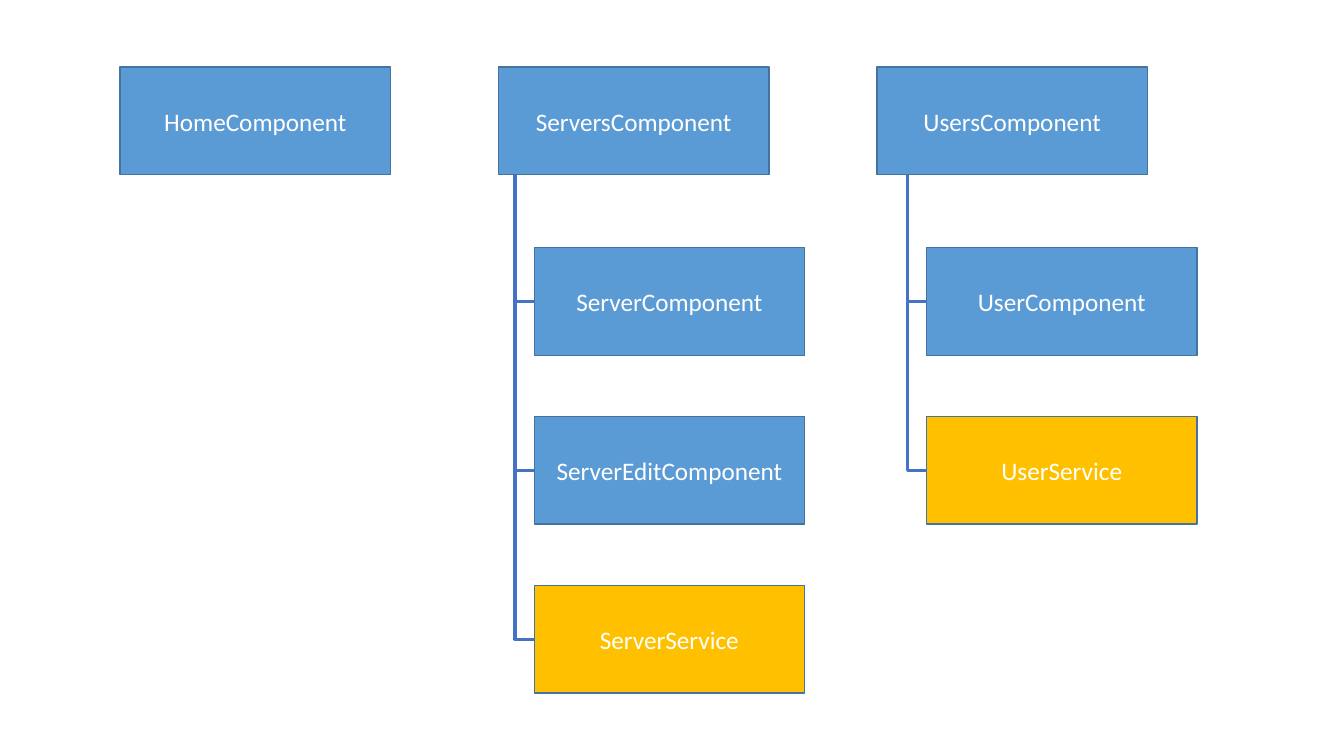
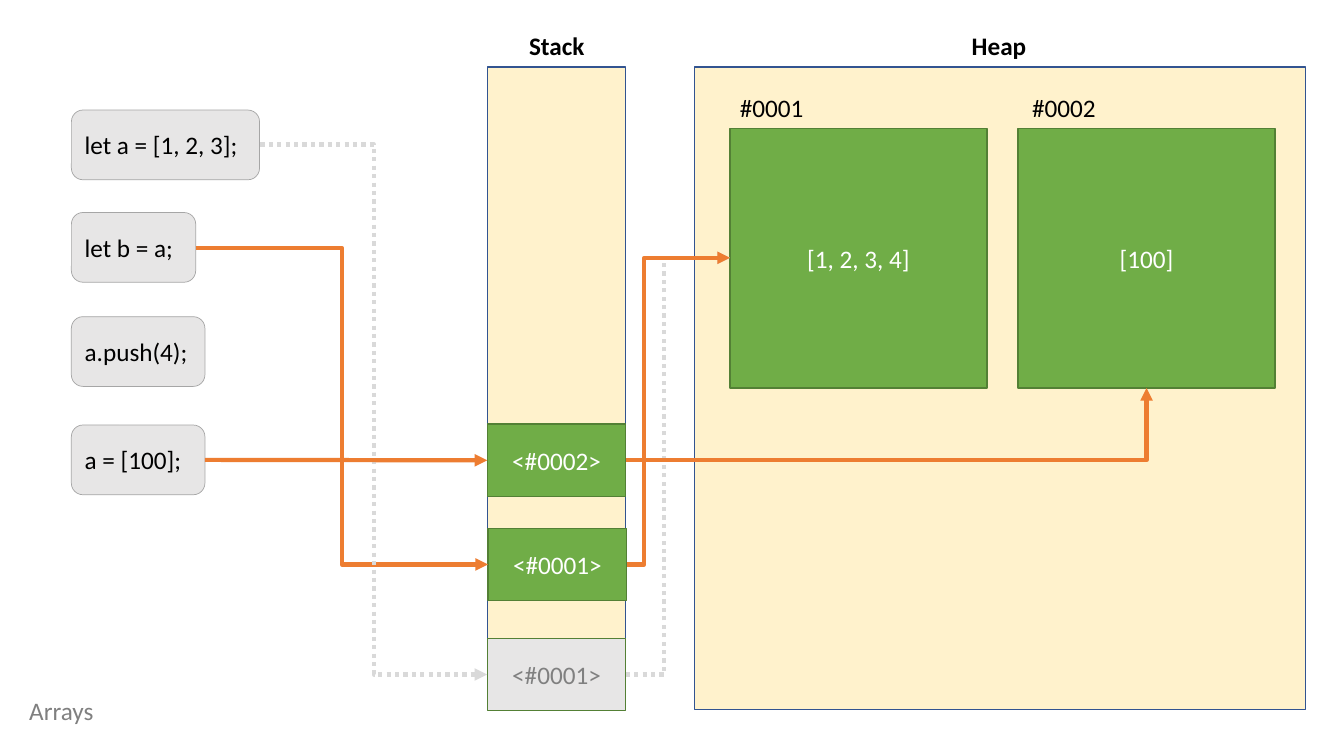
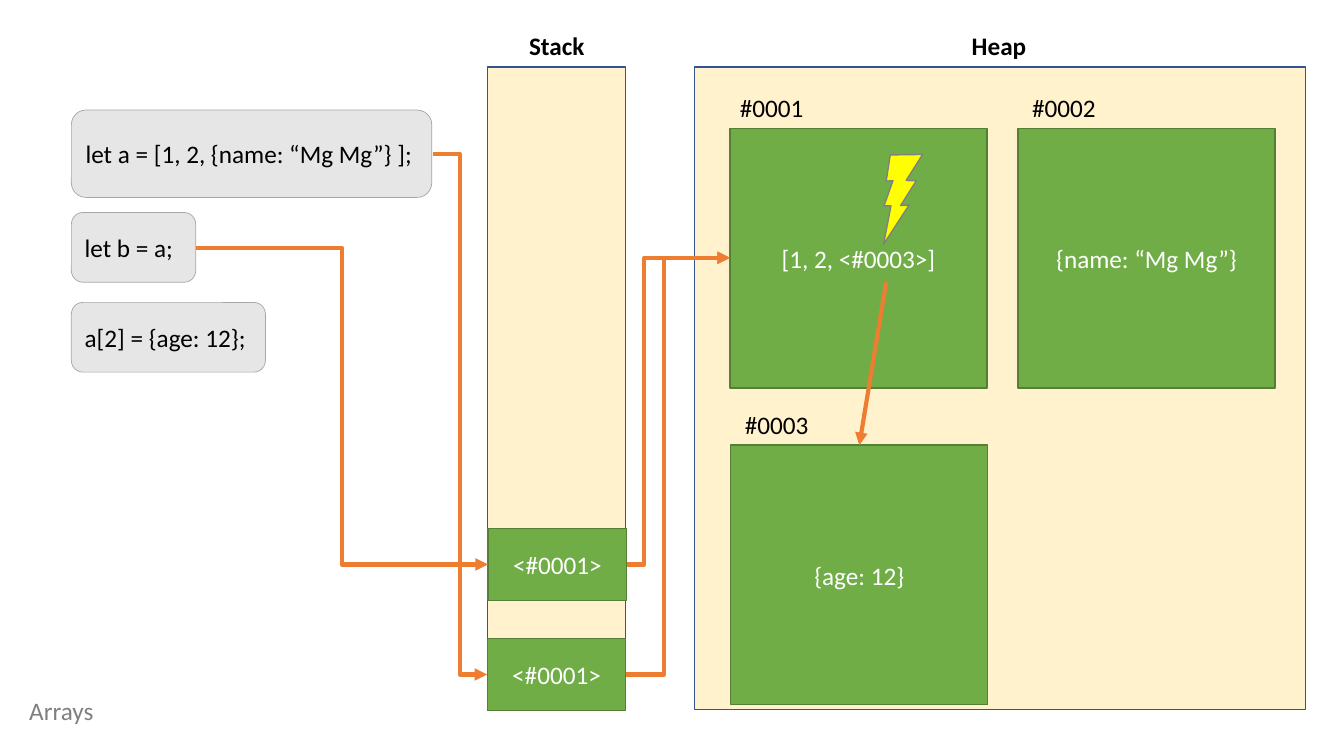
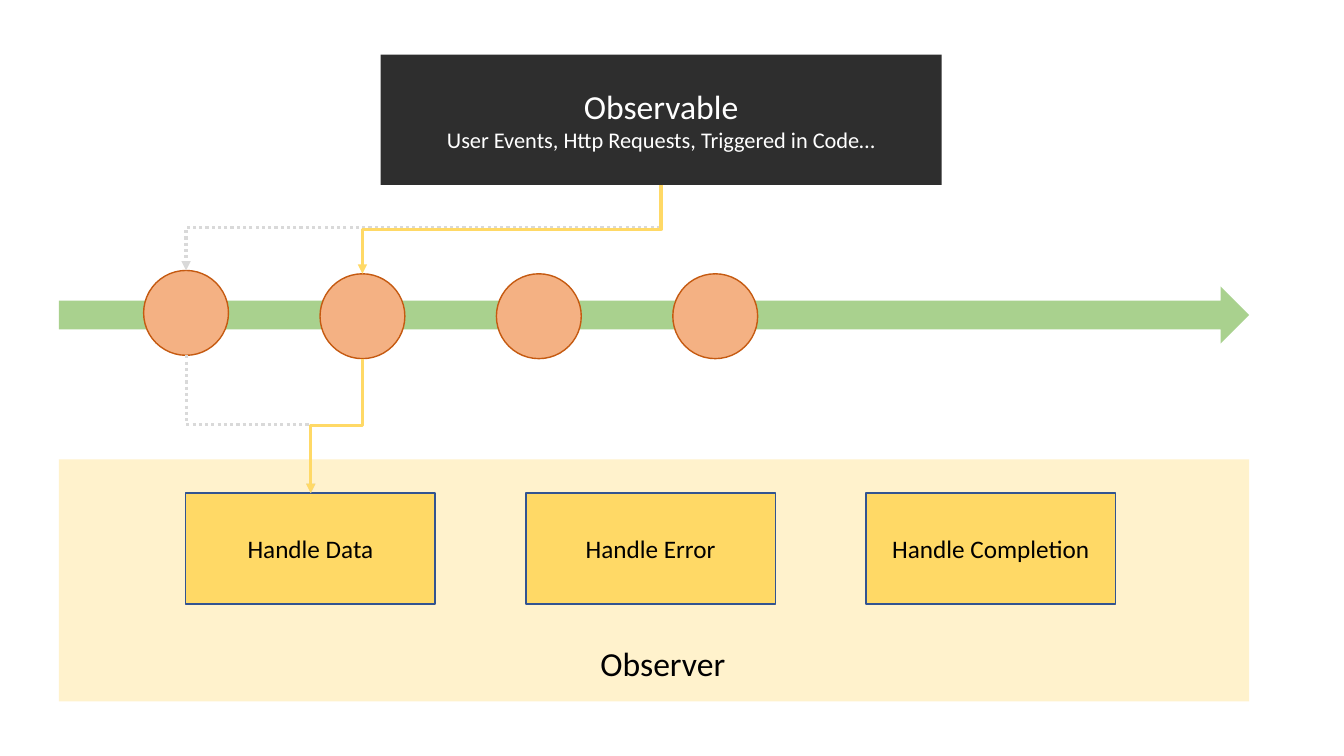
from lxml import etree
from pptx import Presentation
from pptx import util as u
from pptx.dml.color import RGBColor
from pptx.enum import dml, shapes, text
from pptx.oxml import ns


class Theme:
    font = "Calibri"
    body, note, head = 18, 16, 24
    hair, thin, mid, bold = 0.5, 1, 2.25, 3
    white, black, grey = "FFFFFF", "000000", "808080"
    blue, navy, trunk, steel = "5B9BD5", "325491", "4472C4", "43739E"
    gold, sun, cream, bolt = "FFC000", "FFD966", "FFF2CC", "FFFF00"
    green, moss, leaf = "70AD47", "538035", "A9D18E"
    orange, peach, rust = "ED7D31", "F4B183", "C55A11"
    pale, ash, mist, coal = "E7E6E6", "A6A6A6", "D9D9D9", "2E2E2E"


# Grid: 160 columns by 90 rows of square cells
CELL = u.Inches(1) // 12
COLS, ROWS = 160, 90
KIND = shapes.MSO_SHAPE
LEFT, MID = text.PP_ALIGN.LEFT, text.PP_ALIGN.CENTER

deck = Presentation()
deck.slide_width, deck.slide_height = COLS * CELL, ROWS * CELL
blank = deck.slide_layouts[6]


def box(slide, at, words="", fill=None, edge=None, kind=KIND.RECTANGLE, width=Theme.thin,
        color=Theme.white, sizes=(Theme.body,), align=MID, strong=False):
    """Add a shape, or a text label when kind is None; each line of words is a paragraph."""
    place = [int(v * CELL) for v in at]
    if kind is None:
        item = slide.shapes.add_textbox(*place)
        item.text_frame.word_wrap = False
        item.text_frame.auto_size = text.MSO_AUTO_SIZE.SHAPE_TO_FIT_TEXT
    else:
        item = slide.shapes.add_shape(kind, *place)
        item.shadow.inherit = False
        item.text_frame.vertical_anchor = text.MSO_ANCHOR.MIDDLE
        item.fill.solid()
        item.fill.fore_color.rgb = RGBColor.from_string(fill)
        if edge:
            item.line.color.rgb = RGBColor.from_string(edge)
            item.line.width = u.Pt(width)
        else:
            item.line.fill.background()
    if words:
        item.text_frame.text = words
        for para, size in zip(item.text_frame.paragraphs, sizes):
            para.alignment = align
            para.font.name, para.font.size, para.font.bold = Theme.font, u.Pt(size), strong
            para.font.color.rgb = RGBColor.from_string(color)
    return item


def wire(slide, start, end, color, width, bends=0, share=0.5, down=False, arrow=True):
    """Join two points with 0, 1 or 2 bends; down makes the first leg vertical."""
    (x1, y1), (x2, y2) = start, end
    turn = 0
    if down:  # lay the path on its side, then turn it about its centre
        side = 1 if x2 < x1 else -1
        turn = 90 * side % 360
        cx, cy, dx, dy = (x1 + x2) / 2, (y1 + y2) / 2, abs(x2 - x1) / 2, side * (y2 - y1) / 2
        x1, y1, x2, y2 = cx - dy, cy - dx, cx + dy, cy + dx
    kind = shapes.MSO_CONNECTOR.ELBOW if bends else shapes.MSO_CONNECTOR.STRAIGHT
    line = slide.shapes.add_connector(kind, *[int(v * CELL) for v in (x1, y1, x2, y2)])
    line.line.color.rgb = RGBColor.from_string(color)
    line.line.width = u.Pt(width)
    if color == Theme.mist:
        line.line.dash_style = dml.MSO_LINE.ROUND_DOT
    props = line.element.spPr
    if turn:
        props.find(ns.qn("a:xfrm")).set("rot", str(turn * 60000))
    shape = props.find(ns.qn("a:prstGeom"))
    if bends == 1:
        shape.set("prst", "bentConnector2")
    elif bends == 2:
        etree.SubElement(shape.find(ns.qn("a:avLst")), ns.qn("a:gd"),
                         name="adj1", fmla=f"val {round(share * 100000)}")
    if arrow:
        etree.SubElement(props.find(ns.qn("a:ln")), ns.qn("a:tailEnd"), type="triangle")
    etree.SubElement(props, ns.qn("a:effectLst"))
    return line


# Slide 1: component trees
slide = deck.slides.add_slide(blank)
wide, high, top = 32.2, 12.8, 8
trees = [
    ("HomeComponent", 0, []),
    ("ServersComponent", 63.6, ["ServerComponent", "ServerEditComponent", "ServerService"]),
    ("UsersComponent", 110.3, ["UserComponent", "UserService"]),
]
for col, (root, left, kids) in enumerate(trees):
    box(slide, (14.3 + 45.05 * col, top, wide, high), root, Theme.blue, Theme.steel)
    last = top + high
    for row, kid in enumerate(kids):
        y = 29.5 + 20.1 * row
        fill = Theme.gold if kid.endswith("Service") else Theme.blue
        box(slide, (left, y, wide, high), kid, fill, Theme.steel)
        wire(slide, (left - 2.3, last), (left, y + high / 2), Theme.trunk, Theme.mid,
             bends=1, down=True, arrow=False)
        last = y + high / 2

# Slides 2 and 3: stack and heap
low, near, far = 80.3, 67.2, 30.7  # rows where the pointers run
plans = [
    dict(code=[("let a = [1, 2, 3];", 13.1, 22.4, 8.3), ("let b = a;", 25.3, 14.8, 8.3),
               ("a.push(4);", 37.7, 15.9, 8.3), ("a = [100];", 50.6, 15.9, 8.3)],
         slots=[("<#0001>", 58, 76), ("<#0001>", 58.1, 62.9), ("<#0002>", 58, 50.5)],
         cells=[("[1, 2, 3, 4]", 86.9, 15.3, 0), ("[100]", 121.2, 15.3, 0.5)],
         tone=Theme.mist, first=((31, 17.2), (58, low))),
    dict(code=[("let a = [1, 2, {name: “Mg Mg”} ];", 13.1, 42.9, 10.4),
               ("let b = a;", 25.3, 14.8, 8.3), ("a[2] = {age: 12};", 36, 23.1, 8.3)],
         slots=[("<#0001>", 58, 76), ("<#0001>", 58.1, 62.9)],
         cells=[("[1, 2, <#0003>]", 86.9, 15.3, 0), ("{name: “Mg Mg”}", 121.2, 15.3, 0.5),
                ("{age: 12}", 87, 53, 0.5)],
         tone=Theme.orange, first=((51.5, 18.3), (58, low))),
]
drawn = []
for plan in plans:
    slide = deck.slides.add_slide(blank)
    for name, x, w, mark in (("Stack", 58, 16.5, 61.8), ("Heap", 82.7, 72.7, 114.5)):
        box(slide, (x, 8, w, 76.5), "", Theme.cream, Theme.navy)
        box(slide, (mark, 3, 9, 4.8), name, kind=None, color=Theme.black, align=LEFT, strong=True)

    code = [box(slide, (8.5, y, w, h), words, Theme.pale, Theme.ash, KIND.ROUNDED_RECTANGLE,
                Theme.hair, Theme.black, align=LEFT) for words, y, w, h in plan["code"]]
    slots = []
    for i, (words, x, y) in enumerate(plan["slots"]):
        stale = i == 0 and plan["tone"] == Theme.mist
        slots.append(box(slide, (x, y, 16.5, 8.6), words, Theme.pale if stale else Theme.green,
                         Theme.moss, color=Theme.grey if stale else Theme.white))
    cells = []
    for i, (words, x, y, shift) in enumerate(plan["cells"], 1):
        cells.append(box(slide, (x, y, 30.6, 30.9), words, Theme.green, Theme.moss))
        box(slide, (x + shift, y - 4.9, 10.1, 4.8), f"#000{i}", kind=None,
            color=Theme.black, align=LEFT)

    for start, end, tone, share in (
            ((74.5, low), (86.9, far), plan["tone"], 0.37),
            ((23.3, 29.5), (58.1, near), Theme.orange, 0.5),
            ((74.6, near), (86.9, far), Theme.orange, 0.17),
            (*plan["first"], plan["tone"], 0.5)):
        wire(slide, start, end, tone, Theme.bold, bends=2, share=share)
    box(slide, (2.3, 82.2, 21.5, 4.8), "Arrays", Theme.white, color=Theme.grey, align=LEFT)
    drawn.append((slide, code, slots, cells))

# Slide 2: the new array
slide, code, slots, cells = drawn[0]
line = wire(slide, (24.4, 54.8), (58, 54.8), Theme.orange, Theme.bold)
line.begin_connect(code[3], 3)
line.end_connect(slots[2], 1)
wire(slide, (74.5, 54.8), (136.5, 46.2), Theme.orange, Theme.bold, bends=1)

# Slide 3: the changed item
slide, code, slots, cells = drawn[1]
line = wire(slide, (105.5, 33.6), (102.3, 53), Theme.orange, Theme.bold)
line.end_connect(cells[2], 0)
flash = box(slide, (102.7, 18.4, 8.9, 9.2), "", Theme.bolt, Theme.grey, KIND.LIGHTNING_BOLT)
flash.rotation = 333.8
flash.element.spPr.find(ns.qn("a:xfrm")).set("flipH", "1")

# Slide 4: observable and observer
slide = deck.slides.add_slide(blank)
box(slide, (45.3, 6.5, 66.8, 15.5),
    "Observable\nUser Events, Http Requests, Triggered in Code…",
    Theme.coal, sizes=(Theme.head, Theme.note))
box(slide, (7, 54.7, 141.7, 28.8), "", Theme.cream)
box(slide, (70.3, 76, 17.5, 6), "Observer", kind=None, color=Theme.black,
    sizes=(Theme.head,), align=LEFT)
for i, name in enumerate(("Data", "Error", "Completion")):
    box(slide, (22.1 + 40.5 * i, 58.7, 29.7, 13.2), f"Handle {name}", Theme.sun, Theme.navy,
        color=Theme.black)
box(slide, (7, 34.1, 141.7, 6.8), "", Theme.leaf, kind=KIND.RIGHT_ARROW)
size, tops = 10.1, (32.2, 32.6, 32.6, 32.6)
for i, y in enumerate(tops):
    box(slide, (17.1 + 21 * i, y, size, size), "", Theme.peach, Theme.rust,
        KIND.FLOWCHART_CONNECTOR)
for i, tone in enumerate((Theme.mist, Theme.sun)):
    x = 17.1 + 21 * i + size / 2
    for start, end in (((78.7, 22), (x, tops[i])), ((x, tops[i] + size), (37, 58.7))):
        wire(slide, start, end, tone, Theme.mid, bends=2, down=True)

deck.save("out.pptx")
